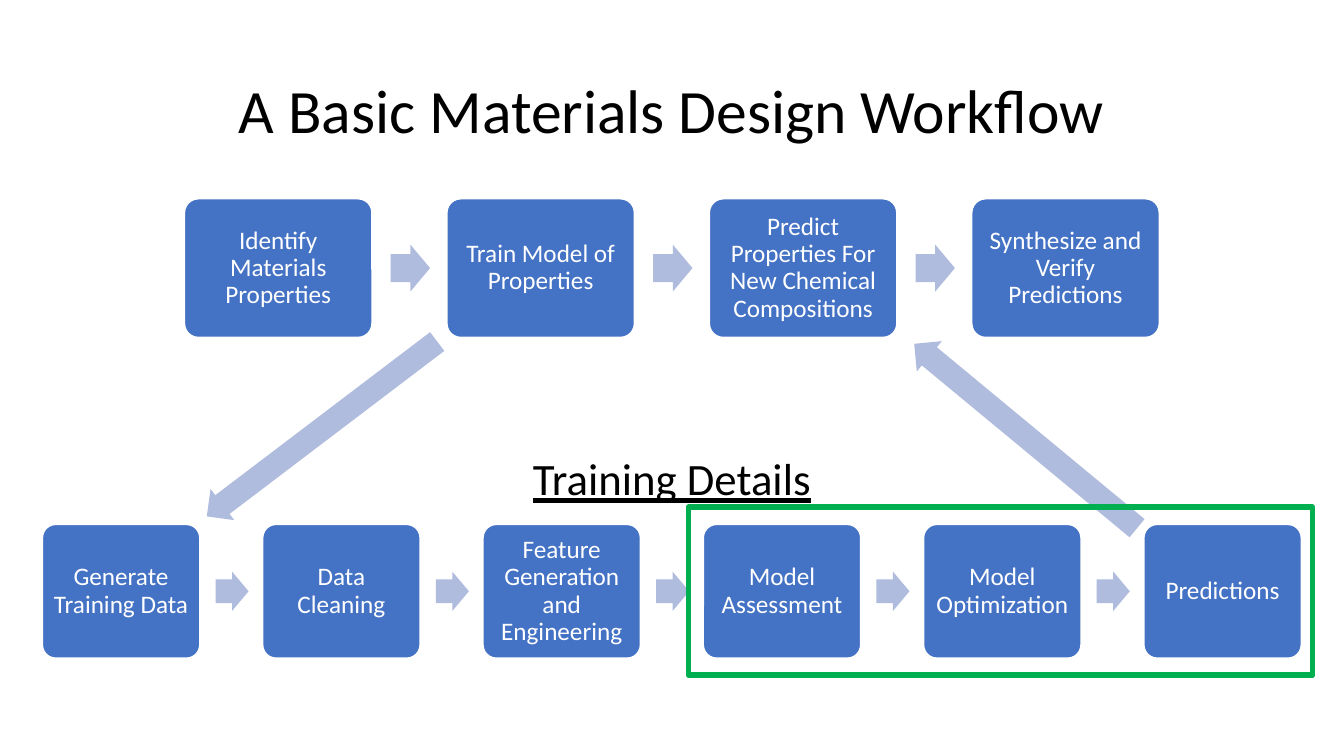
"""Builds a slide showing a materials design workflow and its training details."""
from pptx import Presentation
from pptx.dml.color import RGBColor
from pptx.enum.shapes import MSO_SHAPE
from pptx.enum.text import MSO_ANCHOR, PP_ALIGN
from pptx.util import Pt

ROUNDED = MSO_SHAPE.ROUNDED_RECTANGLE
ARROW = MSO_SHAPE.RIGHT_ARROW
RECTANGLE = MSO_SHAPE.RECTANGLE
MIDDLE = MSO_ANCHOR.MIDDLE
CENTER = PP_ALIGN.CENTER
TITLE_ONLY = 5

FONT = "Calibri"
COLORS = {"text": "000000", "step": "4472C4", "arrow": "B0BCDE",
          "white": "FFFFFF", "highlight": "00B050"}

WORKFLOW = ["Identify Materials Properties", "Train Model of Properties",
            "Predict Properties For New Chemical Compositions",
            "Synthesize and Verify Predictions"]
TRAINING = ["Generate Training Data", "Data Cleaning",
            "Feature Generation and Engineering", "Model Assessment",
            "Model Optimization", "Predictions"]


class Painter:
    """Holds the style and the current slide."""

    def __init__(self, page):
        """Keep the page to draw on."""
        self.page = page

    def color(self, name):
        """Return a named color."""
        return RGBColor.from_string(COLORS[name])

    def label(self, shape, text, size, color, underline=None):
        """Put one centred paragraph into a shape."""
        frame = shape.text_frame
        frame.word_wrap = True
        frame.vertical_anchor = MIDDLE
        frame.text = text
        para = frame.paragraphs[0]
        para.alignment = CENTER
        para.line_spacing = 0.9
        para.font.name = FONT
        para.font.size = Pt(size)
        para.font.underline = underline
        para.font.color.rgb = self.color(color)

    def title(self, text, left, top, width, height):
        """Place and fill the title placeholder."""
        title = self.page.shapes.title
        title.left, title.top = Pt(left), Pt(top)
        title.width, title.height = Pt(width), Pt(height)
        self.label(title, text, 44, "text")

    def heading(self, text, left, top, width, height):
        """Add an underlined heading."""
        box = self.page.shapes.add_textbox(Pt(left), Pt(top), Pt(width), Pt(height))
        self.label(box, text, 32, "text", True)

    def shape(self, kind, left, top, width, height, fill=None, line=None, weight=1):
        """Add a flat preset shape."""
        shape = self.page.shapes.add_shape(kind, Pt(left), Pt(top), Pt(width), Pt(height))
        shape.shadow.inherit = False
        if fill:
            shape.fill.solid()
            shape.fill.fore_color.rgb = self.color(fill)
        else:
            shape.fill.background()
        if line:
            shape.line.color.rgb = self.color(line)
            shape.line.width = Pt(weight)
        else:
            shape.line.fill.background()
        return shape

    def step(self, text, left, top, width, height):
        """Add one labelled workflow step."""
        box = self.shape(ROUNDED, left, top, width, height, "step", "white")
        box.adjustments[0] = 0.1
        frame = box.text_frame
        frame.margin_left = frame.margin_right = Pt(5)
        frame.margin_top = frame.margin_bottom = Pt(5)
        self.label(box, text, 18, "white")

    def arrow(self, left, middle, width, height, rotation=0):
        """Add a block arrow centred on a height."""
        arrow = self.shape(ARROW, left, middle - height / 2, width, height, "arrow")
        arrow.adjustments[0] = 0.6
        arrow.adjustments[1] = 0.5
        arrow.rotation = rotation

    def process(self, steps, left, top, width, height):
        """Add a row of steps with gaps and arrows in proportion to the step width."""
        for index, text in enumerate(steps):
            step_left = left + index * width * 1.4
            self.step(text, step_left, top, width, height)
            if index < len(steps) - 1:
                self.arrow(step_left + width * 1.1, top + height / 2,
                           width * 0.21, width * 0.25)


def main():
    """Build and save the deck."""
    deck = Presentation()
    deck.slide_width, deck.slide_height = Pt(960), Pt(540)
    painter = Painter(deck.slides.add_slide(deck.slide_layouts[TITLE_ONLY]))
    painter.title("A Basic Materials Design Workflow", 66, 28.8, 828, 104.4)
    painter.process(WORKFLOW, 131.8, 142, 133.9, 99)
    painter.process(TRAINING, 30.3, 374.6, 112.4, 95.5)
    painter.arrow(126.7, 306.4, 206.6, 28, 142.8)
    painter.arrow(629.3, 311.4, 206.6, 28, 219.6)
    painter.heading("Training Details", 66, 291.6, 828, 104.4)
    painter.shape(RECTANGLE, 491.8, 362.2, 445.7, 120.2, line="highlight", weight=4)
    deck.save("out.pptx")


main()
